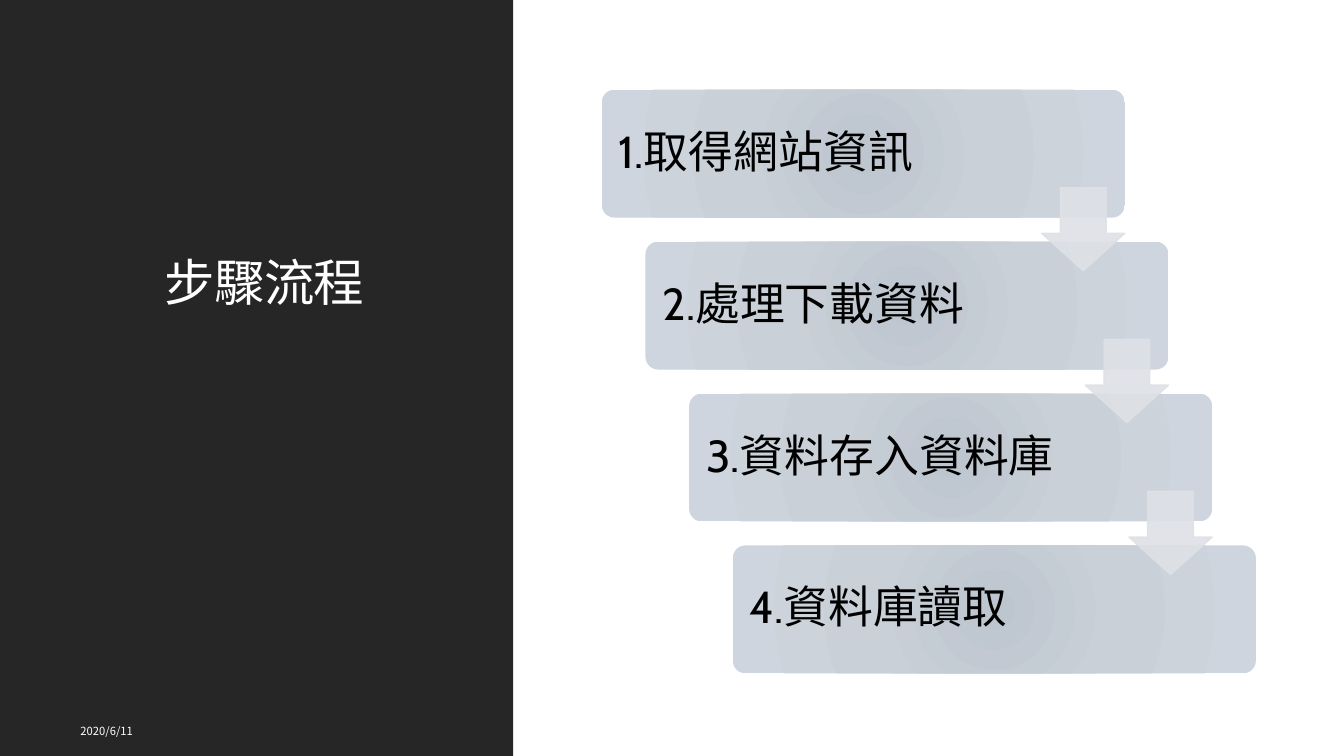
from dataclasses import dataclass

from lxml import etree
from pptx import Presentation
from pptx import util as u
from pptx.dml.color import RGBColor
from pptx.enum import shapes, text
from pptx.oxml import ns


@dataclass(frozen=True)
class Theme:
    panel: str = "262626"
    light: str = "FFFFFF"
    dark: str = "000000"
    arrow: str = "DEE1E6"
    card_stops: tuple = ((0, "BDC5CE"), (45, "C9D0D8"), (100, "CED5DE"))
    cjk_font: str = "Noto Sans CJK TC"
    step_font: str = "Cabin"
    title_size: float = 36
    step_size: float = 32
    date_size: float = 8


THEME = Theme()
STEPS = ("1.取得網站資訊", "2.處理下載資料", "3.資料存入資料庫", "4.資料庫讀取")
CARD_LEFT, CARD_TOP = 429.8, 64.1
CARD_WIDTH, CARD_HEIGHT = 373.7, 91.4
SHIFT_X, SHIFT_Y = 31.2, 108.5
ARROW_SIZE = 59.5
ARROW_DROP = 69.8


def add_child(parent, tag, **attributes):
    return etree.SubElement(parent, ns.qn(tag), attributes)


def add_block(slide, preset, left, top, width, height, adjustments=()):
    block = slide.shapes.add_shape(
        preset, u.Pt(left), u.Pt(top), u.Pt(width), u.Pt(height))
    block.shadow.inherit = False
    block.line.fill.background()
    for index, value in enumerate(adjustments):
        block.adjustments[index] = value
    return block


def fill_solid(fill, color, opacity=None):
    fill.solid()
    fill.fore_color.rgb = RGBColor.from_string(color)
    if opacity is not None:
        tint = fill._xPr.find(ns.qn("a:solidFill"))[0]
        add_child(tint, "a:alpha", val=str(opacity * 1000))


def fill_radial(block, stops):
    block.fill.gradient()
    gradient = block.fill._xPr.find(ns.qn("a:gradFill"))
    for child in list(gradient):
        gradient.remove(child)
    stop_list = add_child(gradient, "a:gsLst")
    for position, color in stops:
        stop = add_child(stop_list, "a:gs", pos=str(position * 1000))
        add_child(stop, "a:srgbClr", val=color)
    circle = add_child(gradient, "a:path", path="circle")
    add_child(circle, "a:fillToRect", l="100000", t="100000", r="100000", b="100000")


def write(frame, content, *, size, color, font, align=text.PP_ALIGN.LEFT,
          anchor=text.MSO_ANCHOR.MIDDLE, inset=(7.2, 3.6), line_spacing=None,
          space_after=None, tracking=None):
    frame.word_wrap = True
    frame.vertical_anchor = anchor
    frame.margin_left = frame.margin_right = u.Pt(inset[0])
    frame.margin_top = frame.margin_bottom = u.Pt(inset[1])
    paragraph = frame.paragraphs[0]
    paragraph.alignment = align
    if line_spacing is not None:
        paragraph.line_spacing = line_spacing
    if space_after is not None:
        paragraph.space_after = u.Pt(space_after)
    run = paragraph.add_run()
    run.text = content
    run.font.size = u.Pt(size)
    run.font.color.rgb = RGBColor.from_string(color)
    run.font.name = font
    properties = run.font._element
    add_child(properties, "a:ea", typeface=THEME.cjk_font)
    if tracking is not None:
        properties.set("spc", str(int(tracking * 100)))


def add_label(slide, content, left, top, width, height, **style):
    label = slide.shapes.add_textbox(
        u.Pt(left), u.Pt(top), u.Pt(width), u.Pt(height))
    write(label.text_frame, content, **style)


def add_step(slide, index, content):
    card = add_block(slide, shapes.MSO_SHAPE.ROUNDED_RECTANGLE,
                     CARD_LEFT + index * SHIFT_X, CARD_TOP + index * SHIFT_Y,
                     CARD_WIDTH, CARD_HEIGHT, (0.1,))
    fill_radial(card, THEME.card_stops)
    write(card.text_frame, content, size=THEME.step_size, color=THEME.dark,
          font=THEME.step_font, inset=(9.6, 9.6), line_spacing=0.9)


def add_arrow(slide, index):
    arrow = add_block(slide, shapes.MSO_SHAPE.DOWN_ARROW,
                      CARD_LEFT + CARD_WIDTH - ARROW_SIZE + index * SHIFT_X,
                      CARD_TOP + ARROW_DROP + index * SHIFT_Y,
                      ARROW_SIZE, ARROW_SIZE, (0.55, 0.45))
    fill_solid(arrow.fill, THEME.arrow, opacity=90)
    fill_solid(arrow.line.fill, THEME.arrow, opacity=90)
    arrow.line.width = u.Pt(1)


def main():
    deck = Presentation()
    deck.slide_width, deck.slide_height = u.Pt(960), u.Pt(540)
    slide = deck.slides.add_slide(deck.slide_layouts[6])

    panel = add_block(slide, shapes.MSO_SHAPE.RECTANGLE, 0, 0, 366.6, 540)
    fill_solid(panel.fill, THEME.panel)
    add_label(slide, "步驟流程", 50.4, 62, 277.2, 165, size=THEME.title_size,
              color=THEME.light, font=THEME.cjk_font, align=text.PP_ALIGN.CENTER,
              anchor=text.MSO_ANCHOR.BOTTOM, line_spacing=0.9, tracking=-0.5)

    for index, content in enumerate(STEPS):
        add_step(slide, index, content)
    for index in range(len(STEPS) - 1):
        add_arrow(slide, index)

    add_label(slide, "2020/6/11", 50.4, 507.6, 277.2, 28.8, size=THEME.date_size,
              color=THEME.light, font=THEME.cjk_font, space_after=6)
    deck.save("out.pptx")


if __name__ == "__main__":
    main()
